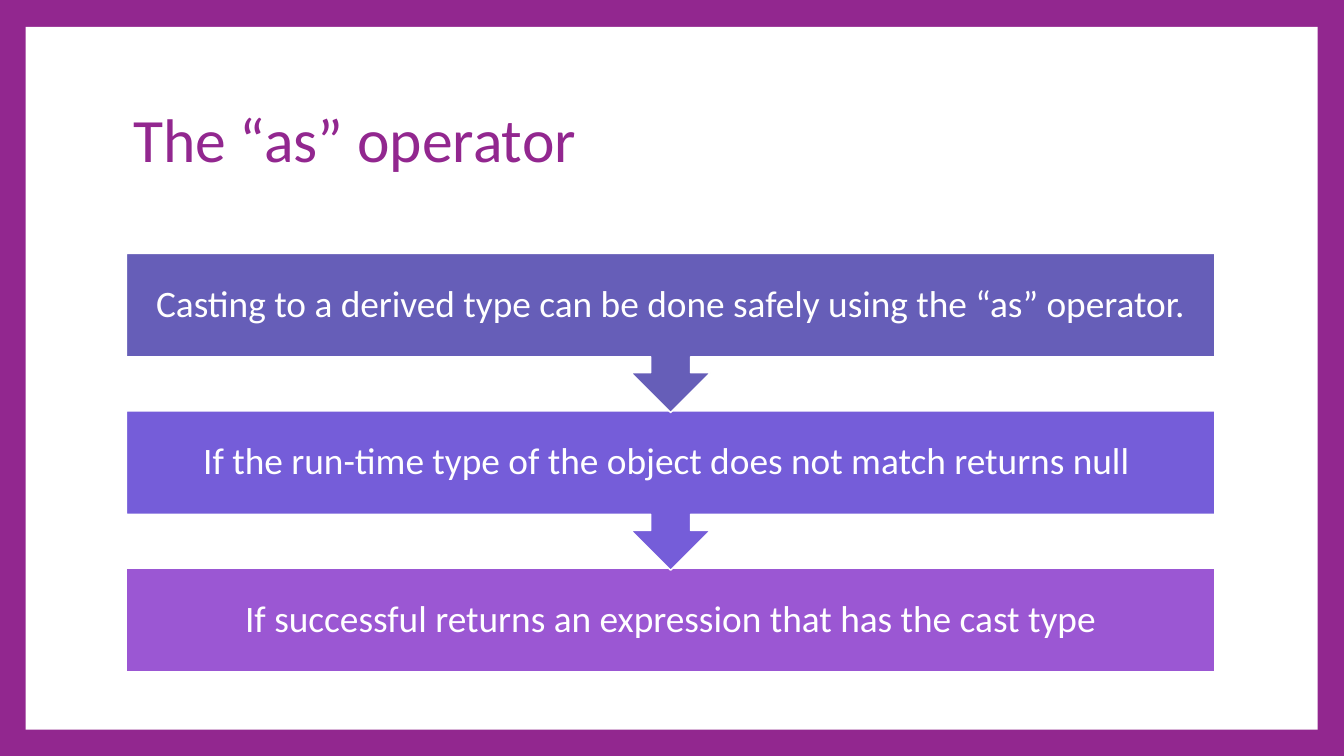
from dataclasses import dataclass

from pptx import Presentation
from pptx.dml.color import RGBColor
from pptx.enum.shapes import MSO_SHAPE as Shape
from pptx.enum.text import MSO_ANCHOR as Anchor, PP_ALIGN as Align
from pptx.util import Inches, Pt


@dataclass(frozen=True)
class Theme:
    font: str = "Calibri"
    accent: str = "92278F"
    white: str = "FFFFFF"
    steps: tuple = ("665EB8", "755DD9", "9B57D3")
    title_size: int = 66
    step_size: int = 40


THEME = Theme()
LEFT, WIDTH = 1.88, 16.2
STEP_TOP, STEP_PITCH = 3.77, 2.345
BOX_HEIGHT, CALLOUT_HEIGHT = 1.54, 2.37

STEPS = (
    "Casting to a derived type can be done safely using the “as” operator.",
    "If the run-time type of the object does not match returns null ",
    "If successful returns an expression that has the cast type",
)


def color(value):
    return RGBColor.from_string(value)


def write(tf, text, size, ink, align):
    tf.word_wrap = True
    tf.vertical_anchor = Anchor.MIDDLE
    p = tf.paragraphs[0]
    p.alignment = align
    p.line_spacing = 0.9
    r = p.add_run()
    r.text = text
    r.font.name = THEME.font
    r.font.size = Pt(size)
    r.font.color.rgb = color(ink)


def add_block(s, kind, left, top, width, height, fill):
    sp = s.shapes.add_shape(kind, Inches(left), Inches(top), Inches(width), Inches(height))
    sp.shadow.inherit = False
    sp.fill.solid()
    sp.fill.fore_color.rgb = color(fill)
    sp.line.fill.background()
    return sp


def add_frame(s):
    s.background.fill.solid()
    s.background.fill.fore_color.rgb = color(THEME.accent)
    panel = add_block(s, Shape.RECTANGLE, 0.38, 0.4, 19.23, 10.46, THEME.white)
    # Send the panel behind the title
    s.shapes._spTree.insert(2, panel._element)


def add_title(s, text):
    title = s.shapes.title
    title.left, title.top = Inches(LEFT), Inches(1)
    title.width, title.height = Inches(WIDTH), Inches(2.23)
    write(title.text_frame, text, THEME.title_size, THEME.accent, Align.LEFT)


def add_step(s, index, text):
    is_last = index == len(STEPS) - 1
    kind = Shape.RECTANGLE if is_last else Shape.DOWN_ARROW_CALLOUT
    height = BOX_HEIGHT if is_last else CALLOUT_HEIGHT
    sp = add_block(s, kind, LEFT, STEP_TOP + index * STEP_PITCH, WIDTH, height,
                   THEME.steps[index])
    sp.line.color.rgb = color(THEME.white)
    sp.line.width = Pt(1.5)
    tf = sp.text_frame
    tf.margin_left = tf.margin_right = tf.margin_top = tf.margin_bottom = Inches(0.31)
    write(tf, text, THEME.step_size, THEME.white, Align.CENTER)


def main():
    prs = Presentation()
    prs.slide_width, prs.slide_height = Inches(20), Inches(11.25)
    s = prs.slides.add_slide(prs.slide_layouts[5])  # Title Only

    add_frame(s)
    add_title(s, "The “as” operator")

    # Flow of steps, drawn bottom up so each arrow tip lies over the next box
    for index, text in reversed(list(enumerate(STEPS))):
        add_step(s, index, text)

    prs.save("out.pptx")


if __name__ == "__main__":
    main()
